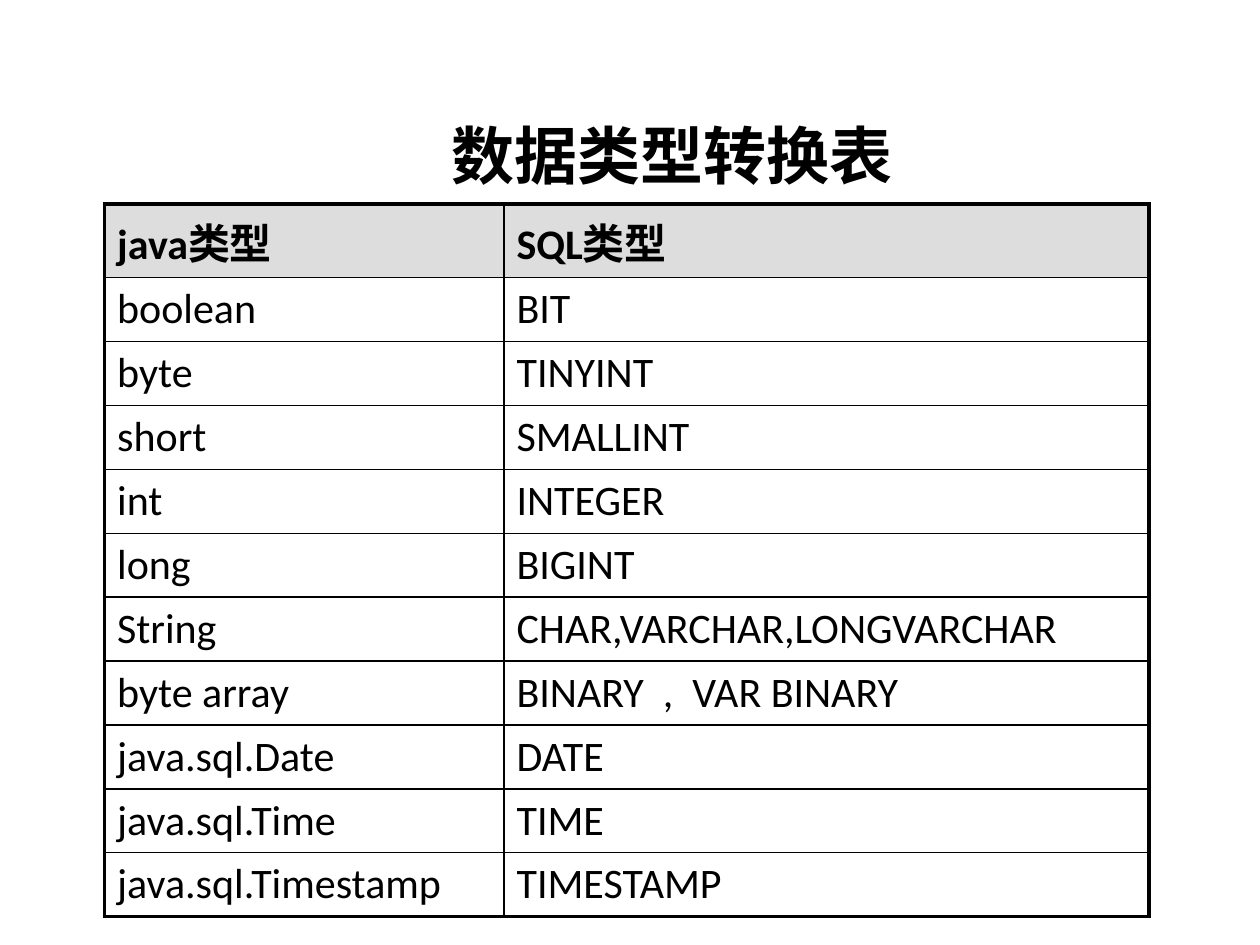
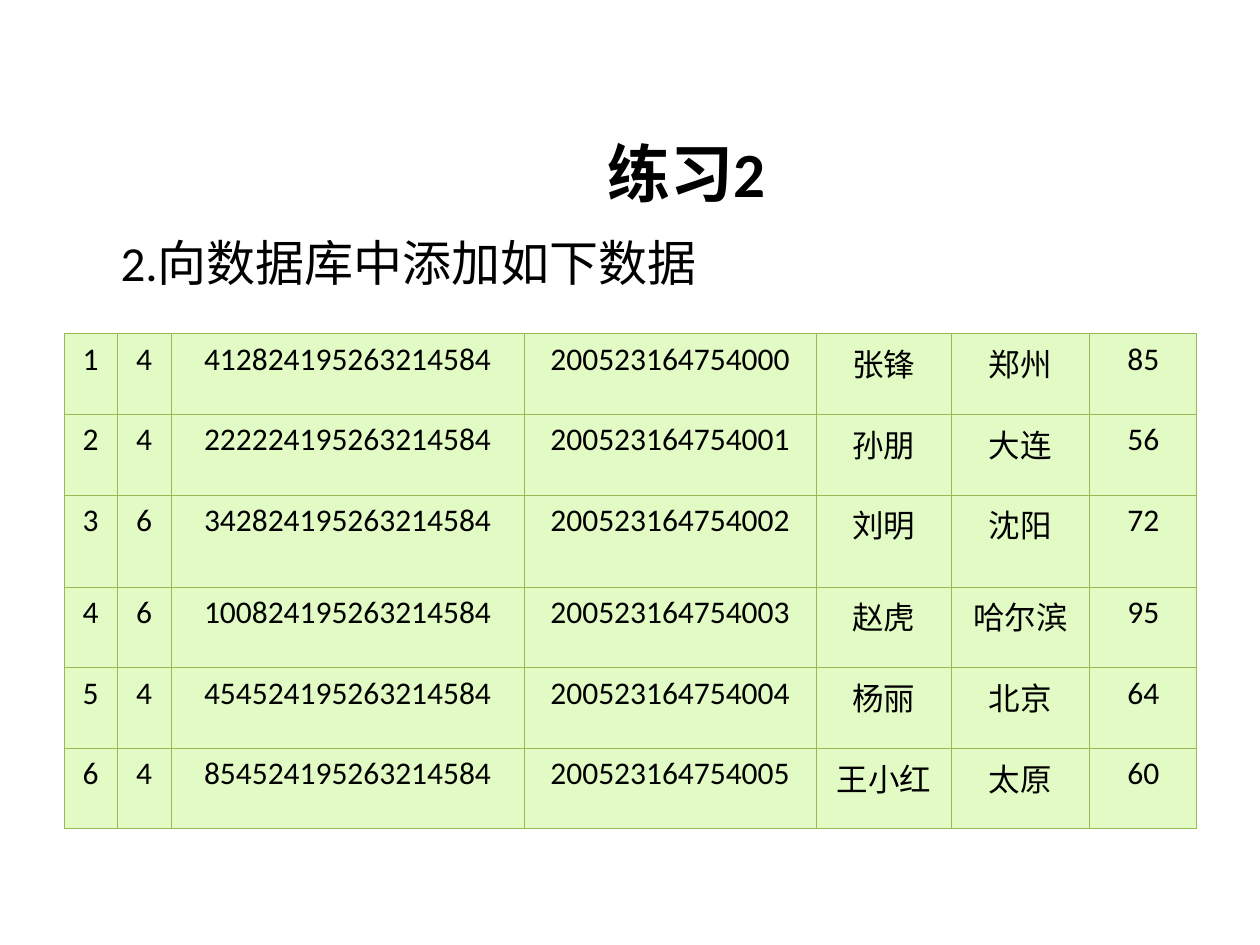
"""Build two slides: a data type table and an exercise with sample records."""
from lxml.etree import SubElement
from pptx import Presentation
from pptx.dml.color import RGBColor
from pptx.enum.text import MSO_ANCHOR, MSO_AUTO_SIZE, PP_ALIGN
from pptx.oxml.ns import qn
from pptx.util import Inches, Pt

INK, GREY, LIME, LEAF = "000000", "DDDDDD", "E2FAC3", "98B955"
THICK, THIN, HAIR = 2.25, 1, 0.75


def paint(item, tone):
    """Give a fill or a font its colour, or clear a fill when tone is None."""
    if tone is None:
        item.background()
    elif hasattr(item, "solid"):
        item.solid()
        item.fore_color.rgb = RGBColor.from_string(tone)
    else:
        item.color.rgb = RGBColor.from_string(tone)


def write(frame, text, size, bold=False, align=PP_ALIGN.LEFT):
    """Put one line of text in a frame with its format."""
    frame.text = text
    line = frame.paragraphs[0]
    line.alignment = align
    look = {"name": "Calibri", "size": Pt(size), "bold": bold}
    for key, value in look.items():
        setattr(line.font, key, value)
    paint(line.font, INK)


types = [
    ("java类型", "SQL类型"),
    ("boolean", "BIT"),
    ("byte", "TINYINT"),
    ("short", "SMALLINT"),
    ("int", "INTEGER"),
    ("long", "BIGINT"),
    ("String", "CHAR,VARCHAR,LONGVARCHAR"),
    ("byte array", "BINARY  ,  VAR BINARY"),
    ("java.sql.Date", "DATE"),
    ("java.sql.Time", "TIME"),
    ("java.sql.Timestamp", "TIMESTAMP"),
]
people = [
    ("1", "4", "412824195263214584", "200523164754000", "张锋", "郑州", "85"),
    ("2", "4", "222224195263214584", "200523164754001", "孙朋", "大连", "56"),
    ("3", "6", "342824195263214584", "200523164754002", "刘明", "沈阳", "72"),
    ("4", "6", "100824195263214584", "200523164754003", "赵虎", "哈尔滨", "95"),
    ("5", "4", "454524195263214584", "200523164754004", "杨丽", "北京", "64"),
    ("6", "4", "854524195263214584", "200523164754005", "王小红", "太原", "60"),
]
pages = [
    {"title": "数据类型转换表", "box": (3.43, 0.6, 3.8, 1.25),
     "data": types, "at": (0.83, 1.62), "cols": [3.17, 5.12],
     "rows": [0.58] + [0.5] * 10, "size": 24, "align": PP_ALIGN.LEFT,
     "head": GREY, "fill": None, "line": INK, "rim": THICK, "rule": THIN},
    {"title": "练习2", "box": (3.82, 0.93, 3.25, 0.87),
     "data": people, "at": (0.51, 2.65),
     "cols": [0.42, 0.43, 2.8, 2.32, 1.07, 1.1, 0.85],
     "rows": [0.64, 0.64, 0.73, 0.64, 0.64, 0.64], "size": 18,
     "align": PP_ALIGN.CENTER, "head": None, "fill": LIME, "line": LEAF,
     "rim": HAIR, "rule": HAIR},
]

deck = Presentation()
deck.slide_width, deck.slide_height = Inches(10), Inches(7.5)

for page in pages:
    slide = deck.slides.add_slide(deck.slide_layouts[5])
    title = slide.shapes.title
    for side, value in zip(("left", "top", "width", "height"), page["box"]):
        setattr(title, side, Inches(value))
    frame = title.text_frame
    write(frame, page["title"], 36, True, PP_ALIGN.CENTER)
    frame.vertical_anchor = MSO_ANCHOR.MIDDLE
    frame.auto_size = MSO_AUTO_SIZE.NONE

    data, cols, rows = page["data"], page["cols"], page["rows"]
    place = [Inches(n) for n in (*page["at"], sum(cols), sum(rows))]
    table = slide.shapes.add_table(len(rows), len(cols), *place).table
    table.first_row = table.horz_banding = False
    for col, width in zip(table.columns, cols):
        col.width = Inches(width)
    for row, height in zip(table.rows, rows):
        row.height = Inches(height)

    for r, record in enumerate(data):
        for c, text in enumerate(record):
            cell = table.cell(r, c)
            head = r == 0 and page["head"] is not None
            write(cell.text_frame, text, page["size"], head, page["align"])
            edges = {"L": c == 0, "R": c == len(cols) - 1,
                     "T": r == 0, "B": r == len(rows) - 1}
            props = cell._tc.get_or_add_tcPr()
            for side, outer in edges.items():
                width = page["rim"] if outer else page["rule"]
                edge = SubElement(props, qn(f"a:ln{side}"), w=str(Pt(width)))
                fill = SubElement(edge, qn("a:solidFill"))
                SubElement(fill, qn("a:srgbClr"), val=page["line"])
            paint(cell.fill, page["head"] if head else page["fill"])

task = slide.shapes.add_textbox(Inches(0.86), Inches(1.8), Inches(5.04), Inches(0.57))
task.text_frame.word_wrap = True
write(task.text_frame, "2.向数据库中添加如下数据", 28)

deck.save("out.pptx")
